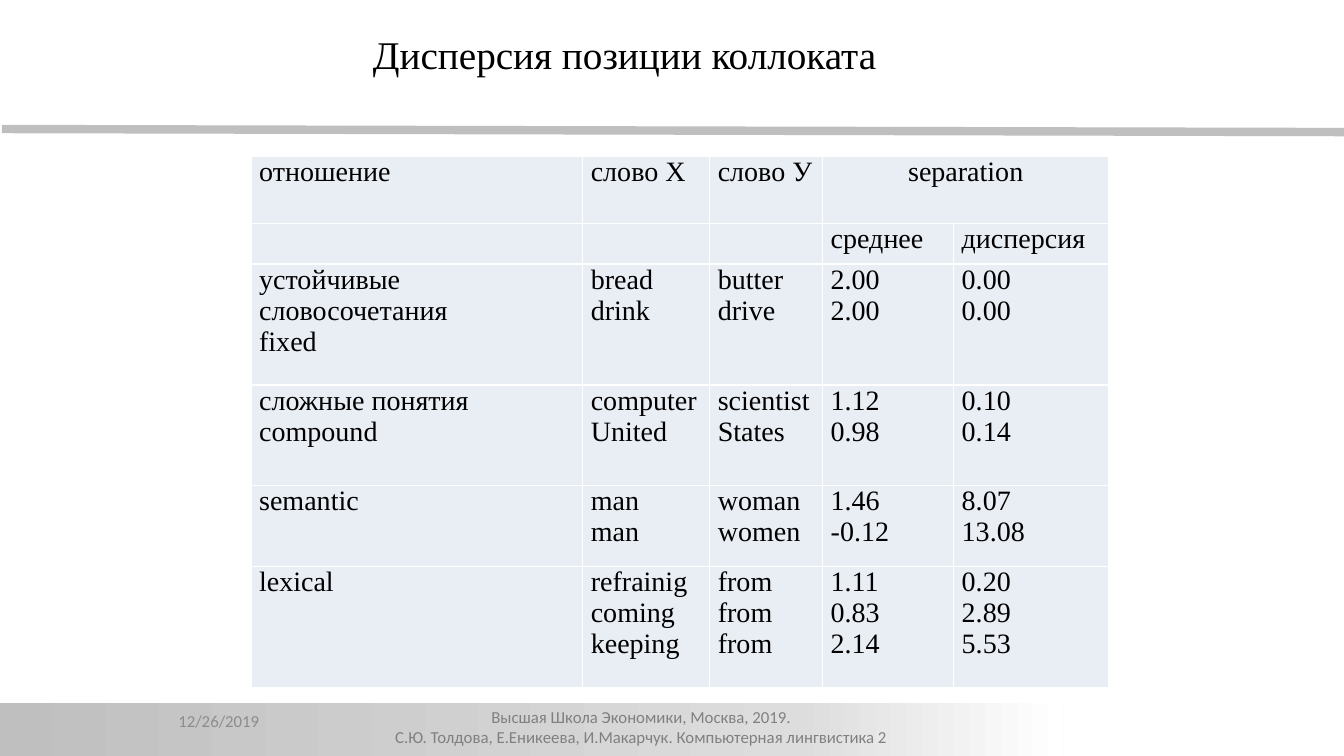
import copy
import dataclasses

import pptx
import pptx.dml.color
import pptx.enum.shapes
import pptx.enum.text
import pptx.oxml
import pptx.oxml.ns
import pptx.util

ALIGN = pptx.enum.text.PP_ALIGN
ANCHOR = pptx.enum.text.MSO_ANCHOR
qn = pptx.oxml.ns.qn


@dataclasses.dataclass(frozen=True)
class Theme:
    serif: str = "Times New Roman"
    sans: str = "Calibri"
    title_size: int = 28
    table_size: int = 20
    footer_size: int = 12
    ink: str = "000000"
    footer: str = "808080"
    date: str = "8C8C8C"
    rule: str = "BFBFBF"
    cell: str = "E9EDF4"
    border: str = "FFFFFF"
    band: tuple = ((0, "BFBFBF"), (0.75, "DDDDDD"), (1, "FFFFFF"))


def rgb(value):
    return pptx.dml.color.RGBColor.from_string(value)


def write(frame, text, *, font, size, color, align=ALIGN.LEFT):
    """Fill a text frame, one paragraph for each line of text."""
    frame.word_wrap = True
    for number, line in enumerate(text.split("\n")):
        paragraph = frame.add_paragraph() if number else frame.paragraphs[0]
        paragraph.alignment = align
        run = paragraph.add_run()
        run.text = line
        run.font.name = font
        run.font.size = pptx.util.Pt(size)
        run.font.color.rgb = rgb(color)


class SlideBuilder:
    """Places elements by percentages of the slide's width and height."""

    def __init__(self, deck, theme):
        self.theme = theme
        self.width, self.height = deck.slide_width, deck.slide_height
        self.shapes = deck.slides.add_slide(deck.slide_layouts[6]).shapes

    def x(self, percent):
        return round(self.width * percent / 100)

    def y(self, percent):
        return round(self.height * percent / 100)

    def box(self, left, top, width, height):
        return self.x(left), self.y(top), self.x(width), self.y(height)

    def rule(self, x1, y1, x2, y2, weight):
        line = self.shapes.add_connector(
            pptx.enum.shapes.MSO_CONNECTOR.STRAIGHT,
            self.x(x1), self.y(y1), self.x(x2), self.y(y2))
        line.line.color.rgb = rgb(self.theme.rule)
        line.line.width = pptx.util.Pt(weight)
        line._element.spPr.append(pptx.oxml.parse_xml(
            f'<a:effectLst {pptx.oxml.ns.nsdecls("a")}/>'))

    def gradient_band(self, *place):
        band = self.shapes.add_shape(
            pptx.enum.shapes.MSO_SHAPE.RECTANGLE, *self.box(*place))
        band.shadow.inherit = False
        band.line.fill.background()
        band.fill.gradient()
        band.fill.gradient_angle = 0
        stops = band._element.spPr.find(".//" + qn("a:gsLst"))
        stops.insert(1, copy.deepcopy(stops[0]))
        for stop, (position, color) in zip(band.fill.gradient_stops, self.theme.band):
            stop.position = position
            stop.color.rgb = rgb(color)

    def text(self, text, *place, anchor=ANCHOR.TOP, **style):
        frame = self.shapes.add_textbox(*self.box(*place)).text_frame
        frame.vertical_anchor = anchor
        write(frame, text, **style)

    def cell(self, cell, text, align):
        cell.margin_left = cell.margin_right = pptx.util.Inches(0.08)
        cell.margin_top = cell.margin_bottom = 0
        if text:
            write(cell.text_frame, text, font=self.theme.serif,
                  size=self.theme.table_size, color=self.theme.ink, align=align)
        cell.fill.solid()
        cell.fill.fore_color.rgb = rgb(self.theme.cell)
        # Borders precede the fill in the cell's properties
        properties = cell._tc.get_or_add_tcPr()
        for place, side in enumerate("LRTB"):
            properties.insert(place, pptx.oxml.parse_xml(
                f'<a:ln{side} {pptx.oxml.ns.nsdecls("a")} w="{pptx.util.Pt(1)}">'
                f'<a:solidFill><a:srgbClr val="{self.theme.border}"/></a:solidFill>'
                f'</a:ln{side}>'))

    def table(self, left, top, widths, heights, rows, merged, centered):
        place = self.box(left, top, sum(widths), sum(heights))
        table = self.shapes.add_table(len(rows), len(widths), *place).table
        table.first_row = table.horz_banding = False
        for column, width in zip(table.columns, widths):
            column.width = self.x(width)
        for row, height in zip(table.rows, heights):
            row.height = self.y(height)
        for r, row in enumerate(rows):
            for c, text in enumerate(row):
                align = ALIGN.CENTER if (r, c) in centered else ALIGN.LEFT
                self.cell(table.cell(r, c), text, align)
        first, last = merged
        table.cell(*first).merge(table.cell(*last))


COLLOCATIONS = [
    ("отношение", "слово Х", "слово У", "separation", ""),
    ("", "", "", "среднее", "дисперсия"),
    ("устойчивые словосочетания\nfixed", "bread\ndrink", "butter\ndrive",
     "2.00\n2.00", "0.00\n0.00"),
    ("сложные понятия\ncompound", "computer\nUnited", "scientist\nStates",
     "1.12\n0.98", "0.10\n0.14"),
    ("semantic", "man\nman", "woman\nwomen", "1.46\n-0.12", "8.07\n13.08"),
    ("lexical", "refrainig\ncoming\nkeeping", "from\nfrom\nfrom",
     "1.11\n0.83\n2.14", "0.20\n2.89\n5.53"),
]


def main():
    deck = pptx.Presentation()
    deck.slide_width = pptx.util.Inches(13.33)
    deck.slide_height = pptx.util.Inches(7.5)
    theme = Theme()
    slide = SlideBuilder(deck, theme)

    # Header rule and footer band
    slide.rule(0.15, 17.07, 100.15, 17.47, weight=6)
    slide.gradient_band(-0.08, 92.93, 79.22, 7.6)

    # Footer
    slide.text("Высшая Школа Экономики, Москва, 2019. \n"
               "С.Ю. Толдова, Е.Еникеева, И.Макарчук. Компьютерная лингвистика 2 ",
               19.05, 92.8, 57.61, 6, font=theme.sans, size=theme.footer_size,
               color=theme.footer, align=ALIGN.CENTER)

    # Table of collocations
    slide.table(18.68, 20.67,
                widths=(24.68, 9.45, 8.4, 9.75, 11.55),
                heights=(8.93, 5.33, 16, 13.33, 10.67, 16),
                rows=COLLOCATIONS, merged=((0, 3), (0, 4)), centered={(0, 3)})

    # Date and title
    slide.text("12/26/2019", 12.53, 92.67, 17.48, 5.33, anchor=ANCHOR.MIDDLE,
               font=theme.sans, size=theme.footer_size, color=theme.date)
    slide.text("Дисперсия позиции коллоката", 27.01, 3.33, 57.76, 7.6,
               font=theme.serif, size=theme.title_size, color=theme.ink)

    deck.save("out.pptx")


if __name__ == "__main__":
    main()
